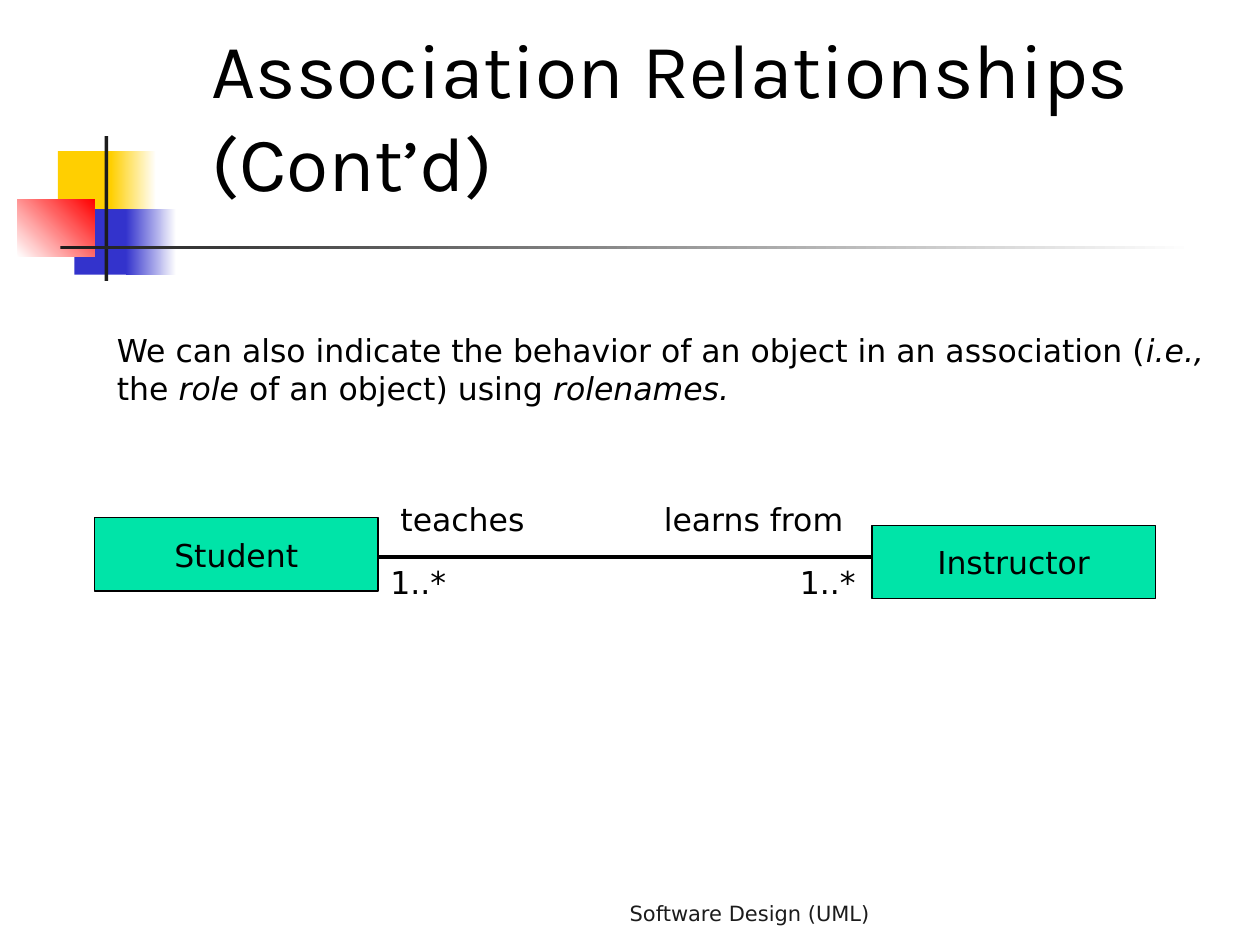
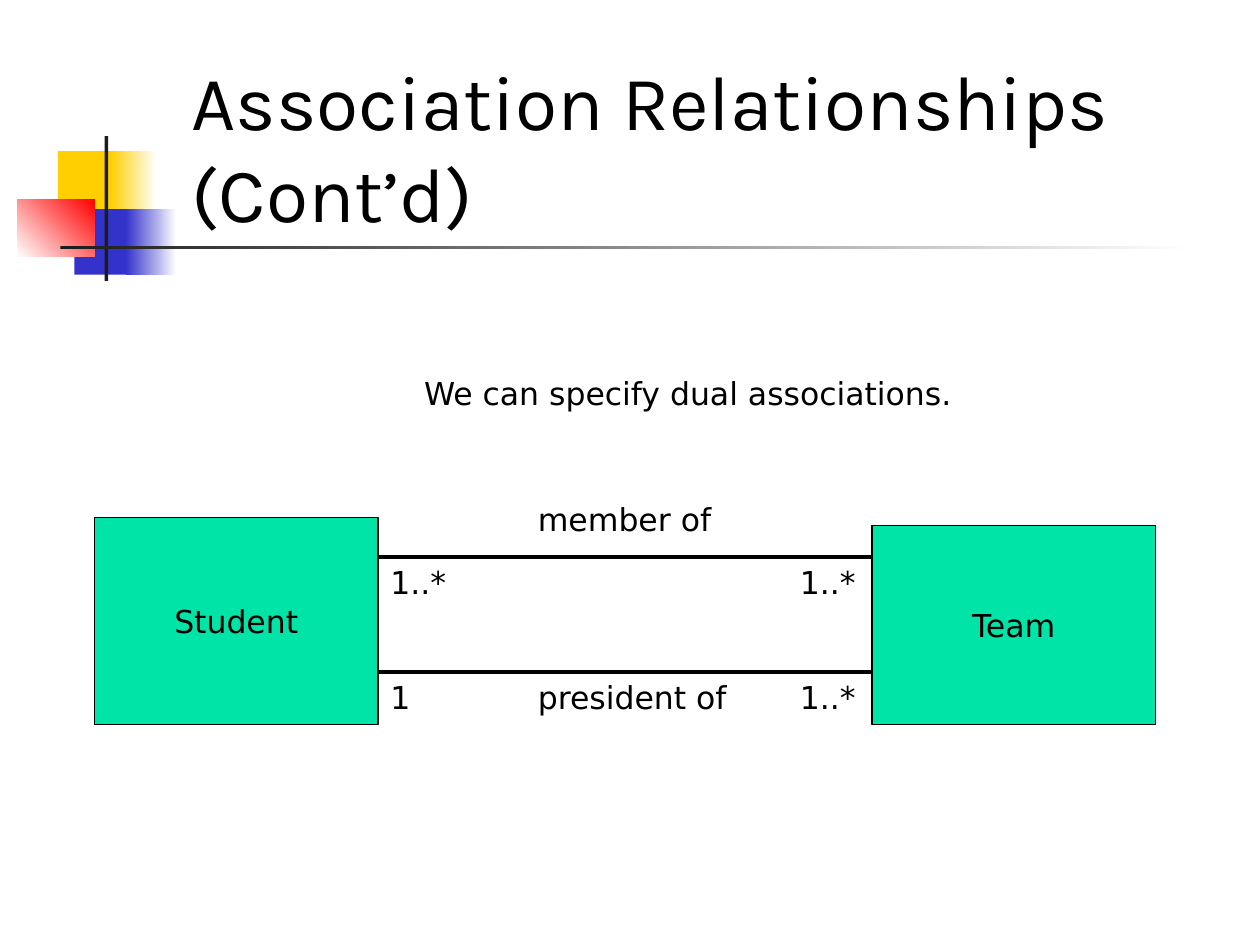
from lxml import etree
from pptx import Presentation
from pptx.dml.color import RGBColor
from pptx.enum import shapes, text
from pptx.oxml import ns
from pptx.util import Inches, Pt

COLORS = {
    "yellow": "FFCF01", "blue": "3333CC", "red": "FF0000", "dark": "1C1C1C",
    "white": "FFFFFF", "black": "000000", "green": "00E4A8",
}
TITLE_FONT, BODY_FONT = "Karla", "DejaVu Sans"
TITLE = "Association Relationships (Cont’d)"
LEFT, CENTER, RIGHT = text.PP_ALIGN.LEFT, text.PP_ALIGN.CENTER, text.PP_ALIGN.RIGHT
BOX_WIDTH = 2.25


def rgb(name):
    """Return the named colour."""
    return RGBColor.from_string(COLORS[name])


def add_run(p, words, size=18, font=BODY_FONT, color="black", italic=False):
    """Append one formatted run to a paragraph."""
    r = p.add_run()
    r.text = words
    r.font.name, r.font.size, r.font.italic = font, Pt(size), italic
    r.font.color.rgb = rgb(color)


def add_rect(s, box, color, end_color=None, angle=0):
    """Add a borderless rectangle with a plain or two-colour gradient fill."""
    sp = s.shapes.add_shape(shapes.MSO_SHAPE.RECTANGLE, *map(Inches, box))
    sp.shadow.inherit = False
    sp.line.fill.background()
    if end_color:
        sp.fill.gradient()
        sp.fill.gradient_angle = angle
        for stop, name, position in zip(sp.fill.gradient_stops, (color, end_color), (0, 1)):
            stop.color.rgb, stop.position = rgb(name), position
    else:
        sp.fill.solid()
        sp.fill.fore_color.rgb = rgb(color)
    return sp


def add_text(s, box, runs, align=LEFT, anchor=text.MSO_ANCHOR.TOP, **style):
    """Add a wrapping text box; runs are (words, italic) pairs."""
    tf = s.shapes.add_textbox(*map(Inches, box)).text_frame
    tf.word_wrap, tf.vertical_anchor = True, anchor
    p = tf.paragraphs[0]
    p.alignment = align
    for words, italic in runs:
        add_run(p, words, italic=italic, **style)


def add_label(s, x, y, width, words):
    """Add a plain label beside an association."""
    add_text(s, (x, y, width, 0.4), [(words, False)])


def add_emblem(s, x, y):
    """Add the coloured squares and the crossing rules."""
    parts = [
        (0.32, 0.12, 0.48, 0.52, "yellow"),
        (0.74, 0.12, 0.36, 0.52, "yellow", "white"),
        (0.45, 0.58, 0.46, 0.52, "blue"),
        (0.86, 0.58, 0.4, 0.52, "blue", "white"),
        (0, 0.5, 0.61, 0.46, "white", "red", 45),
        (0.69, 0, 0.03, 1.15, "dark"),
        (0.34, 0.87, 9, 0.03, "dark", "white"),
    ]
    for dx, dy, w, h, *fill in parts:
        add_rect(s, (x + dx, y + dy, w, h), *fill)


def add_titled_slide(prs, title_box):
    """Add a slide with the emblem and the title in the given box."""
    s = prs.slides.add_slide(prs.slide_layouts[5])
    add_emblem(s, 0.14, 1.08)
    title = s.shapes.title
    title.left, title.top, title.width, title.height = map(Inches, title_box)
    tf = title.text_frame
    tf.word_wrap, tf.auto_size = True, text.MSO_AUTO_SIZE.NONE
    tf.vertical_anchor = text.MSO_ANCHOR.BOTTOM
    tf.margin_left = tf.margin_right = Inches(0.1)
    tf.margin_top = tf.margin_bottom = Inches(0.02)
    p = tf.paragraphs[0]
    p.alignment = LEFT
    add_run(p, TITLE, 44, TITLE_FONT)
    return s


def add_class(s, x, y, height, name):
    """Add a UML class box."""
    sp = add_rect(s, (x, y, BOX_WIDTH, height), "green")
    sp.line.color.rgb, sp.line.width = rgb("black"), Pt(0.75)
    tf = sp.text_frame
    tf.word_wrap, tf.vertical_anchor = False, text.MSO_ANCHOR.MIDDLE
    p = tf.paragraphs[0]
    p.alignment = CENTER
    add_run(p, name)


def add_association(s, x, y, length, multiplicities):
    """Add an association line with a multiplicity under each end."""
    line = s.shapes.add_connector(
        shapes.MSO_CONNECTOR.STRAIGHT, *map(Inches, (x, y, x + length, y)))
    line.line.color.rgb, line.line.width = rgb("black"), Pt(2.25)
    etree.SubElement(line.element.spPr, ns.qn("a:effectLst"))
    start, end = multiplicities
    add_label(s, x, y, 0.42 if start == "1" else 0.75, start)
    add_label(s, x + 3.25, y, 0.75, end)


def add_diagram(s, x, y, classes, associations, roles):
    """Add two classes, the associations between them and the role labels."""
    for dy, length, multiplicities in associations:
        add_association(s, x + BOX_WIDTH, y + dy, length, multiplicities)
    for (name, height), dx, dy in zip(classes, (0, 6.17), (0, 0.06)):
        add_class(s, x + dx, y + dy, height, name)
    for dx, dy, width, words in roles:
        add_label(s, x + dx, y + dy, width, words)


def add_rolenames_slide(prs):
    """Add the slide about role names."""
    s = add_titled_slide(prs, (1.58, 1.08, 9, 0.58))
    add_text(s, (2.58, 7, 4.42, 0.5), [("Software Design (UML)", False)],
             RIGHT, text.MSO_ANCHOR.MIDDLE, size=12, color="dark")
    add_text(s, (0.83, 2.58, 8.87, 0.7), [
        ("We can also indicate the behavior of an object in an association (", False),
        ("i.e.,", True), (" the ", False), ("role ", True),
        ("of an object) using ", False), ("rolenames.", True)])
    add_diagram(s, 0.75, 4.11, [("Student", 0.58), ("Instructor", 0.58)],
                [(0.31, 4, ("1..*", "1..*"))],
                [(2.33, -0.19, 1.25, "teaches"), (4.42, -0.19, 1.75, "learns from")])


def add_dual_slide(prs):
    """Add the slide about dual associations."""
    s = add_titled_slide(prs, (1.42, 1.33, 8.83, 0.58))
    add_text(s, (1.17, 2.92, 8.58, 0.4),
             [("We can specify dual associations.", False)], CENTER)
    add_diagram(s, 0.75, 4.11, [("Student", 1.64), ("Team", 1.58)],
                [(0.31, 4, ("1..*", "1..*")), (1.22, 3.92, ("1", "1..*"))],
                [(3.42, -0.19, 1.92, "member of"), (3.42, 1.22, 1.92, "president of")])


def main():
    """Build and save the slides."""
    prs = Presentation()
    prs.slide_width, prs.slide_height = Inches(10), Inches(7.5)
    add_rolenames_slide(prs)
    add_dual_slide(prs)
    prs.save("out.pptx")


if __name__ == "__main__":
    main()
